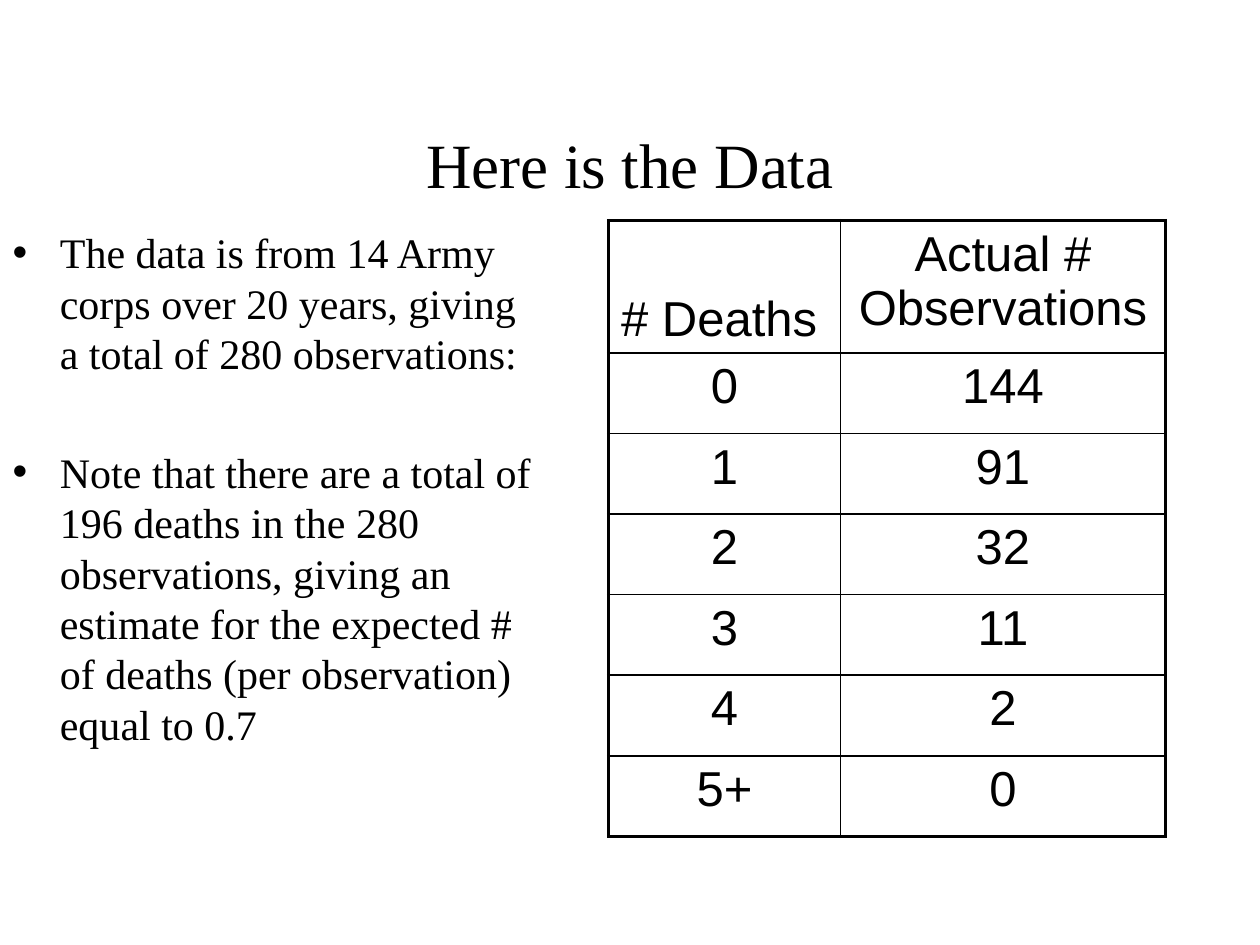
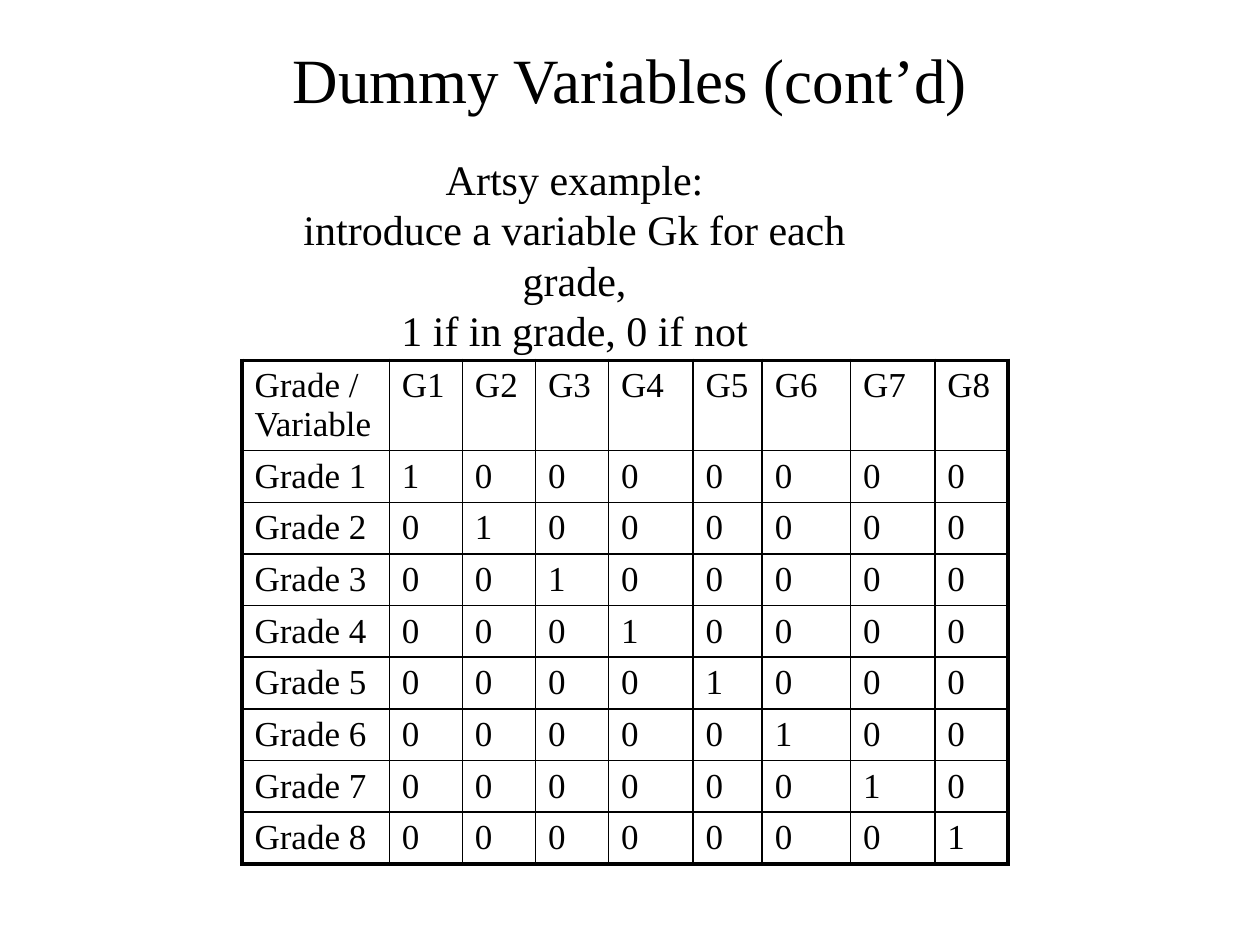
from dataclasses import dataclass

from lxml import etree
from pptx import Presentation, util as u
from pptx.dml.color import RGBColor
from pptx.enum import text as t
from pptx.oxml.ns import qn


@dataclass(frozen=True)
class Theme:
    ink: str = "000000"
    paper: str = "FFFFFF"
    serif: str = "Times New Roman"
    sans: str = "Arial"
    title: int = 36
    body: int = 24
    count: int = 28
    grade: int = 20
    thick: float = 2.25
    thin: float = 1


theme = Theme()
MID = t.PP_ALIGN.CENTER
LEFT = t.PP_ALIGN.LEFT


def write(frame, lines, size, face=theme.serif, align=LEFT, gap=0):
    """Put each line in its own paragraph, with gap points between them."""
    for i, line in enumerate(lines):
        para = frame.paragraphs[0] if i == 0 else frame.add_paragraph()
        para.alignment = align
        para.space_before = u.Pt(gap if i else 0)
        run = para.add_run()
        run.text = line
        run.font.size, run.font.name = u.Pt(size), face
        run.font.bold = False
        run.font.color.rgb = RGBColor.from_string(theme.ink)


def grid(slide, rows, spot, wide, high, size, face, align, filled):
    """Add a ruled table with a thick outer frame; filled paints the heads."""
    x, y = spot
    table = slide.shapes.add_table(
        len(rows), len(wide), u.Inches(x), u.Inches(y),
        u.Inches(sum(wide)), u.Inches(sum(high))).table
    table.first_row = table.horz_banding = False
    for col, width in zip(table.columns, wide):
        col.width = u.Inches(width)
    for r, row in enumerate(rows):
        table.rows[r].height = u.Inches(high[r])
        for c, value in enumerate(row):
            cell = table.cell(r, c)
            write(cell.text_frame, [value], size, face, align)
            props = cell._tc.get_or_add_tcPr()
            outer = {"L": c == 0, "R": c == len(row) - 1,
                     "T": r == 0, "B": r == len(rows) - 1}
            for side, edge in outer.items():
                weight = theme.thick if edge else theme.thin
                rule = etree.SubElement(props, qn(f"a:ln{side}"), w=str(u.Pt(weight)))
                paint = etree.SubElement(rule, qn("a:solidFill"))
                etree.SubElement(paint, qn("a:srgbClr"), val=theme.ink)
            if filled and 0 in (r, c):
                cell.fill.solid()
                cell.fill.fore_color.rgb = RGBColor.from_string(theme.paper)
            else:
                cell.fill.background()
    return table


deck = Presentation()
deck.slide_width, deck.slide_height = u.Inches(10), u.Inches(7.5)

# Titles
slides = []
for layout, words, top, tall in ((1, "Here is the Data", 0.67, 1.25),
                                 (5, "Dummy Variables (cont’d)", 0.25, 0.75)):
    slide = deck.slides.add_slide(deck.slide_layouts[layout])
    head = slide.shapes.title
    head.left, head.top = u.Inches(0.75), u.Inches(top)
    head.width, head.height = u.Inches(8.5), u.Inches(tall)
    head.text_frame.auto_size = t.MSO_AUTO_SIZE.NONE
    head.text_frame.vertical_anchor = t.MSO_ANCHOR.MIDDLE
    write(head.text_frame, [words], theme.title, align=MID)
    slides.append(slide)
data, dummy = slides

# Observed deaths
notes = data.placeholders[1]
notes.left, notes.top = u.Inches(0), u.Inches(1.75)
notes.width, notes.height = u.Inches(4.42), u.Inches(4.95)
notes.text_frame.auto_size = t.MSO_AUTO_SIZE.NONE
write(notes.text_frame, [
    "The data is from 14 Army corps over 20 years, giving a total of 280 observations:",
    "Note that there are a total of 196 deaths in the 280 observations, giving an "
    "estimate for the expected # of deaths (per observation) equal to 0.7",
], theme.body, gap=39)

deaths = [("# Deaths", "Actual # Observations"), ("0", "144"), ("1", "91"),
          ("2", "32"), ("3", "11"), ("4", "2"), ("5+", "0")]
tally = grid(data, deaths, (4.83, 1.75), [1.84, 2.58], [1.05] + [0.64] * 6,
             theme.count, theme.sans, MID, filled=False)
corner = tally.cell(0, 0)
corner.vertical_anchor = t.MSO_ANCHOR.BOTTOM
corner.text_frame.paragraphs[0].alignment = LEFT

# One variable for each grade
span = range(1, 9)
grades = [["Grade / Variable"] + [f"G{k}" for k in span]]
grades += [[f"Grade {g}"] + [str(int(g == k)) for k in span] for g in span]
grid(dummy, grades, (1.92, 2.86),
     [1.17, 0.58, 0.58, 0.58, 0.67, 0.55, 0.7, 0.67, 0.58], [0.71] + [0.41] * 8,
     theme.grade, theme.serif, LEFT, filled=True)

intro = dummy.shapes.add_textbox(
    u.Inches(2.32), u.Inches(1.17), u.Inches(5.41), u.Inches(1.3)).text_frame
intro.word_wrap = True
intro.margin_left, intro.margin_right = u.Inches(0.05), u.Inches(0.98)
write(intro, ["Artsy example:", "introduce a variable Gk for each grade,",
              "1 if in grade, 0 if not"], theme.body, align=MID)

deck.save("out.pptx")
